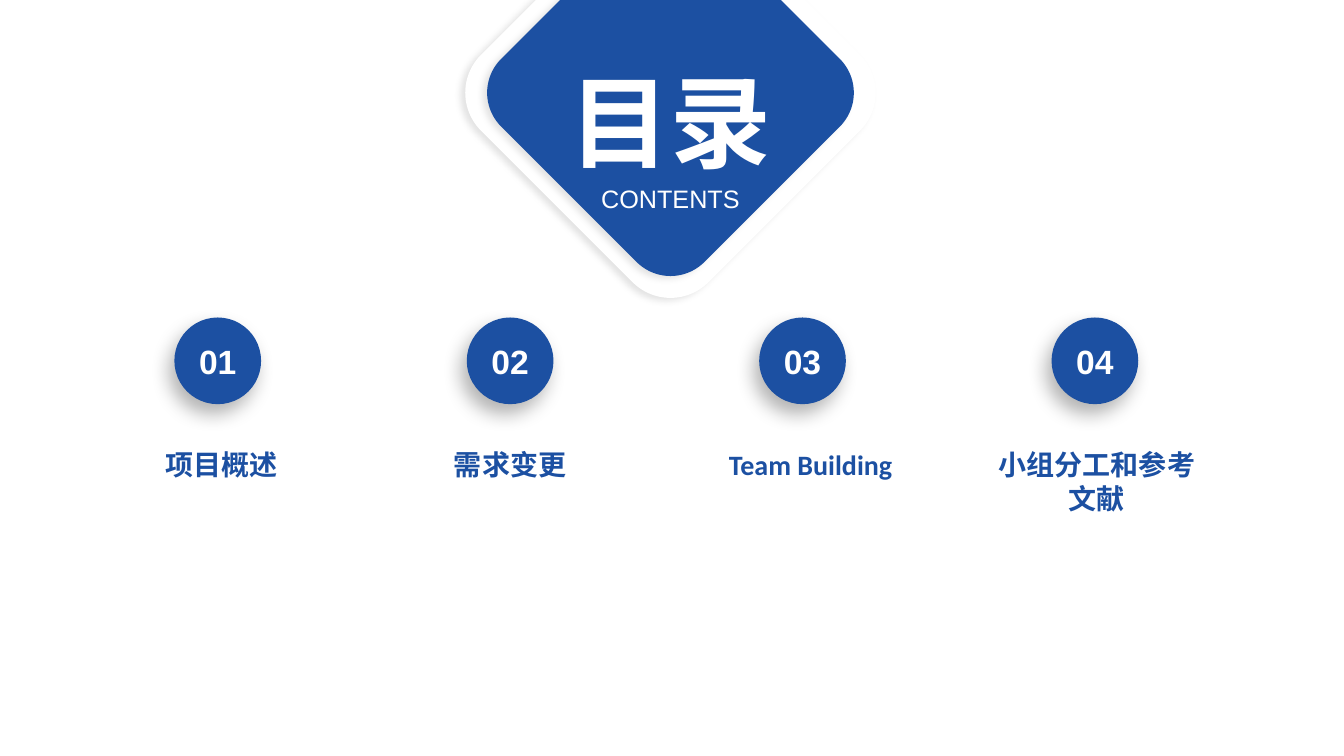
from lxml.etree import SubElement
from pptx import Presentation
from pptx.dml.color import RGBColor
from pptx.enum.shapes import MSO_SHAPE as SHAPE
from pptx.enum.text import MSO_ANCHOR as ANCHOR, MSO_AUTO_SIZE as AUTO, PP_ALIGN as ALIGN
from pptx.oxml.ns import qn
from pptx.util import Inches, Pt

BLUE = RGBColor(0x1C, 0x50, 0xA2)
WHITE = RGBColor(0xFF, 0xFF, 0xFF)
WIDTH, HEIGHT = 13.33, 7.5
# opacity %, blur pt, distance pt, direction in degrees
SOFT_SHADOW = (11, 5, 4, 150)
DEEP_SHADOW = (30, 14, 8, 120)
# heading and the left edge of its label
SECTIONS = [("项目概述", 1.05), ("需求变更", 3.91),
            ("Team Building", 6.89), ("小组分工和参考文献", 9.73)]


def set_shadow(sp, opacity, blur, distance, direction):
    sp.shadow.inherit = False
    effects = sp.element.spPr.find(qn("a:effectLst"))
    outer = SubElement(effects, qn("a:outerShdw"), blurRad=str(Pt(blur)),
                       dist=str(Pt(distance)), dir=str(direction * 60000),
                       algn="ctr", rotWithShape="0")
    color = SubElement(outer, qn("a:srgbClr"), val="000000")
    SubElement(color, qn("a:alpha"), val=str(opacity * 1000))


def add_filled(s, kind, cx, cy, size, color, shadow):
    """Add a borderless square-sized shape centred on (cx, cy)."""
    sp = s.shapes.add_shape(kind, Inches(cx - size / 2), Inches(cy - size / 2),
                            Inches(size), Inches(size))
    sp.fill.solid()
    sp.fill.fore_color.rgb = color
    sp.line.fill.background()
    set_shadow(sp, *shadow)
    return sp


def write(sp, text, size, font, color, bold=True, anchor=ANCHOR.TOP):
    tf = sp.text_frame
    tf.word_wrap = True
    tf.auto_size = AUTO.NONE
    tf.vertical_anchor = anchor
    p = tf.paragraphs[0]
    p.text = text
    p.alignment = ALIGN.CENTER
    p.font.size, p.font.name, p.font.bold = Pt(size), font, bold
    p.font.color.rgb = color


def add_text(s, left, top, width, height, *style):
    sp = s.shapes.add_textbox(Inches(left), Inches(top), Inches(width), Inches(height))
    write(sp, *style)
    return sp


def add_heading(s, cx, cy):
    """Draw the diamond centred on (cx, cy), with the title on top."""
    for size, color in ((3.19, WHITE), (2.85, BLUE)):
        diamond = add_filled(s, SHAPE.ROUNDED_RECTANGLE, cx, cy, size, color, SOFT_SHADOW)
        diamond.rotation = 45
    width = 3.8
    left = cx - width / 2
    title = s.shapes.title
    title.left, title.top = Inches(left), Inches(cy - 0.38)
    title.width, title.height = Inches(width), Inches(1.31)
    write(title, "目录", 72, "Calibri", WHITE)
    title.element.getparent().append(title.element)
    add_text(s, left, cy + 0.85, width, 0.4, "CONTENTS", 18, "Arial", WHITE, False)


def add_sections(s, first_cx, cy, pitch):
    """Draw the numbered circles at equal pitch, each with its label below."""
    for i, (label, left) in enumerate(SECTIONS):
        circle = add_filled(s, SHAPE.OVAL, first_cx + i * pitch, cy, 0.86, BLUE, DEEP_SHADOW)
        write(circle, f"{i + 1:02}", 24, "Arial", WHITE, True, ANCHOR.MIDDLE)
        tf = circle.text_frame
        tf.margin_left = tf.margin_right = 0
        box = add_text(s, left, cy + 0.82, 2.3, 0.75, label, 20, "Calibri", BLUE)
        tf = box.text_frame
        tf.margin_left = tf.margin_right = Inches(0.07)
        tf.margin_top = tf.margin_bottom = Inches(0.04)


def main():
    prs = Presentation()
    prs.slide_width, prs.slide_height = Inches(WIDTH), Inches(HEIGHT)
    s = prs.slides.add_slide(prs.slide_layouts[5])
    add_heading(s, 6.65, 0.92)
    add_sections(s, 2.16, 3.58, 2.9)
    prs.save("out.pptx")


if __name__ == "__main__":
    main()
